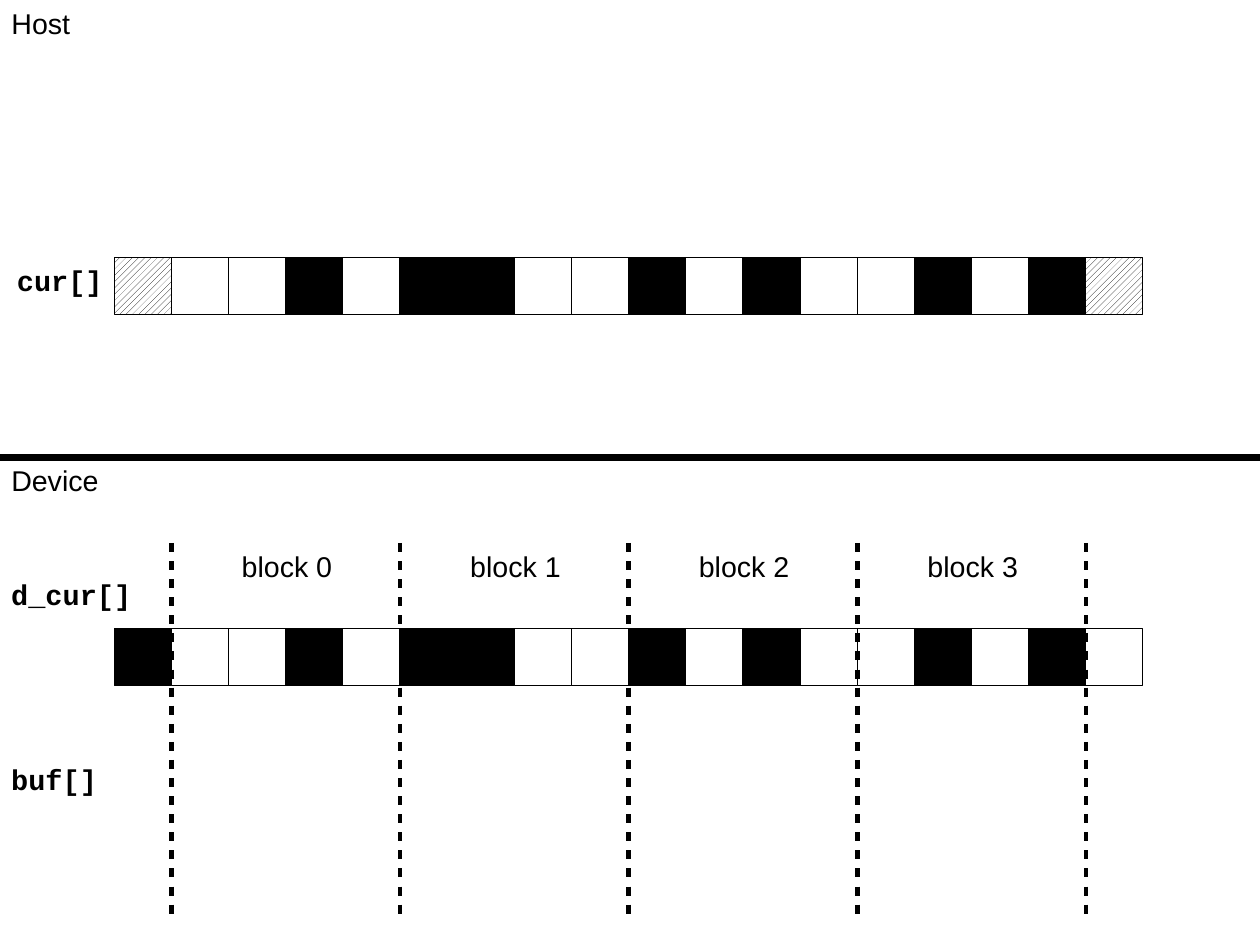
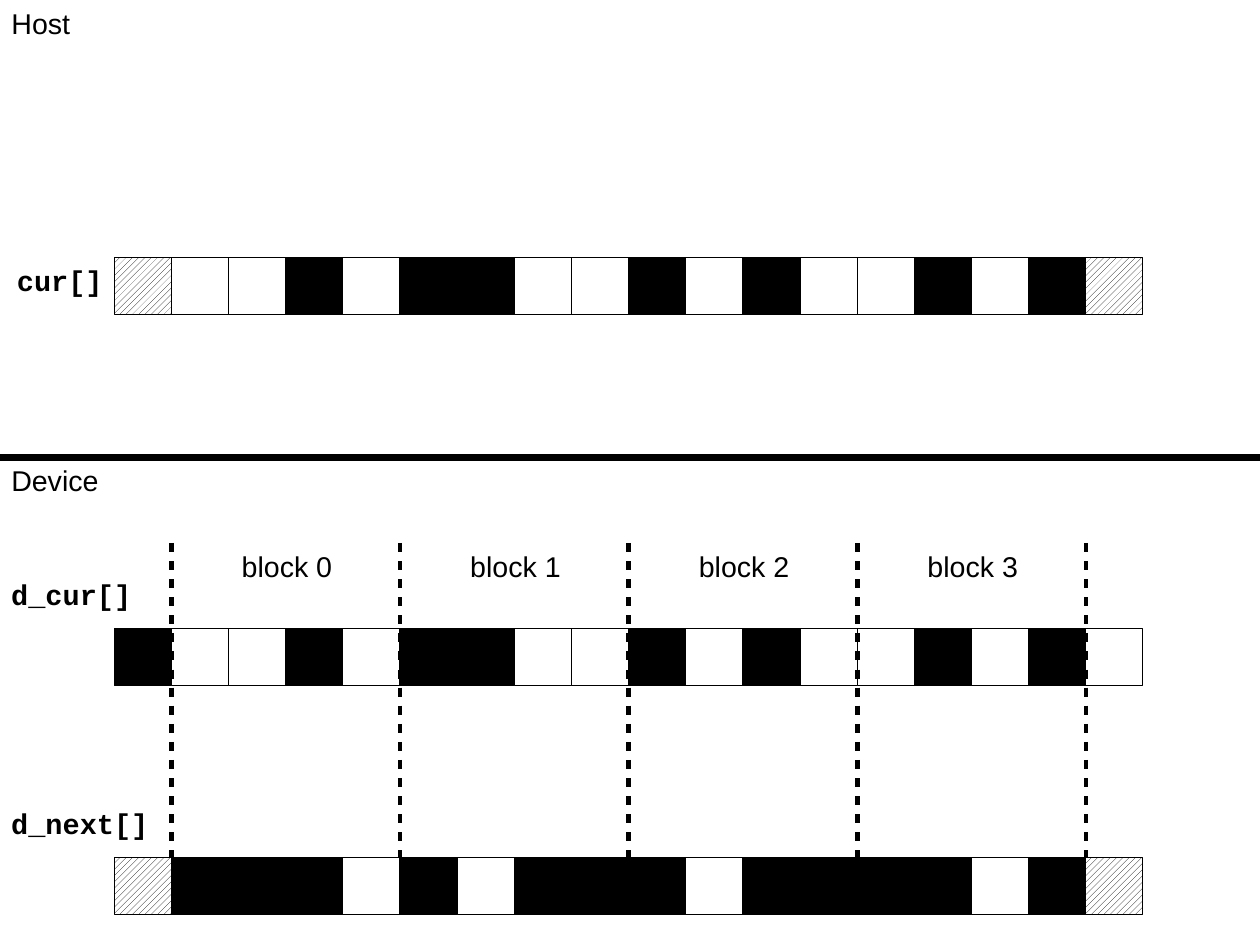
from lxml import etree
from pptx import Presentation
from pptx.dml.color import RGBColor
from pptx.enum.dml import MSO_PATTERN
from pptx.enum.shapes import MSO_CONNECTOR, MSO_SHAPE
from pptx.enum.text import MSO_ANCHOR, MSO_AUTO_SIZE, PP_ALIGN
from pptx.oxml.ns import qn
from pptx.util import Cm, Pt

PX = 9144  # EMU per px, 100 px to the inch
WIDE, HIGH = Cm(28), Cm(21)
BLACK = RGBColor(0, 0, 0)
WHITE = RGBColor(255, 255, 255)
HATCH = MSO_PATTERN.WIDE_UPWARD_DIAGONAL
RECT = MSO_SHAPE.RECTANGLE
LINE = MSO_CONNECTOR.STRAIGHT
FIT = MSO_AUTO_SIZE.SHAPE_TO_FIT_TEXT
TOP = MSO_ANCHOR.TOP
LEFT, MID = PP_ALIGN.LEFT, PP_ALIGN.CENTER
SANS, MONO = "Arial", "Courier New"

# Content: "#" live cell, "." dead cell, "/" ghost cell
SIDE, START = 50, 100
SPLIT, EDGE = 400, 1102
BLOCKS = ["block 0", "block 1", "block 2", "block 3"]
SPAN = 4  # cells in a block
FENCE = (475, 800)
CUR = "/..#.##..#.#..#.#/"
DCUR = "#..#.##..#.#..#.#."
NEXT = "/###.#.###.####.#/"
CUR_Y, DCUR_Y, NEXT_Y = 225, 550, 750

# front: the d_cur[] cells that lie over the block borders
SLIDES = [
    {"label": ("buf[]", 662, 97), "front": range(4, 10), "next": ""},
    {"label": ("d_next[]", 700, 150), "front": (), "next": NEXT},
]


def style(box, text, x, y, w, font=SANS, bold=False, align=LEFT):
    box.left, box.top, box.width, box.height = (n * PX for n in (x, y, w, 38))
    frame = box.text_frame
    frame.text = text
    frame.word_wrap = False
    frame.auto_size = FIT
    frame.vertical_anchor = TOP
    para = frame.paragraphs[0]
    para.alignment = align
    face = para.runs[0].font
    face.name, face.size, face.bold = font, Pt(18), bold
    face.color.rgb = BLACK


def label(slide, *args, **opts):
    style(slide.shapes.add_textbox(0, 0, 0, 0), *args, **opts)


def rule(slide, x1, y1, x2, y2, width, dash=False):
    line = slide.shapes.add_connector(LINE, x1 * PX, y1 * PX, x2 * PX, y2 * PX)
    line.line.color.rgb = BLACK
    line.line.width = Pt(width)
    if dash:
        cust = etree.SubElement(line.line._get_or_add_ln(), qn("a:custDash"))
        etree.SubElement(cust, qn("a:ds"), d="197000", sp="197000")
    etree.SubElement(line._element.spPr, qn("a:effectLst"))


def cells(slide, marks, y, picks):
    for i in picks:
        cell = slide.shapes.add_shape(
            RECT, (START + i * SIDE) * PX, y * PX, SIDE * PX, SIDE * PX)
        cell.shadow.inherit = False
        cell.line.color.rgb = BLACK
        cell.line.width = 0
        fill = cell.fill
        if marks[i] == "/":
            fill.patterned()
            fill.pattern = HATCH
            fill.fore_color.rgb, fill.back_color.rgb = BLACK, WHITE
        else:
            fill.solid()
            fill.fore_color.rgb = BLACK if marks[i] == "#" else WHITE


def build(deck, plan):
    slide = deck.slides.add_slide(deck.slide_layouts[5])

    # Host half
    style(slide.shapes.title, "Host", 0, 0, 74)
    rule(slide, 0, SPLIT, EDGE, SPLIT, 4.31)
    label(slide, "cur[]", 5, CUR_Y, 97, font=MONO, bold=True)
    cells(slide, CUR, CUR_Y, range(len(CUR)))

    # Device half
    label(slide, "Device", 0, SPLIT, 99)
    label(slide, "d_cur[]", 0, 500, 127, font=MONO, bold=True)
    front = plan["front"]
    cells(slide, DCUR, DCUR_Y, [i for i in range(len(DCUR)) if i not in front])

    # Block borders and names
    step = SPAN * SIDE
    first = START + SIDE
    for i in range(len(BLOCKS) + 1):
        x = first + i * step
        rule(slide, x, FENCE[0], x, FENCE[1], 2.89, dash=True)
    for i, name in enumerate(BLOCKS):
        label(slide, name, first + i * step + SIDE, FENCE[0], 102, align=MID)
    cells(slide, DCUR, DCUR_Y, front)

    # Result row
    name, y, w = plan["label"]
    label(slide, name, 0, y, w, font=MONO, bold=True)
    cells(slide, plan["next"], NEXT_Y, range(len(plan["next"])))


def main():
    deck = Presentation()
    deck.slide_width, deck.slide_height = WIDE, HIGH
    for plan in SLIDES:
        build(deck, plan)
    deck.save("out.pptx")


if __name__ == "__main__":
    main()
